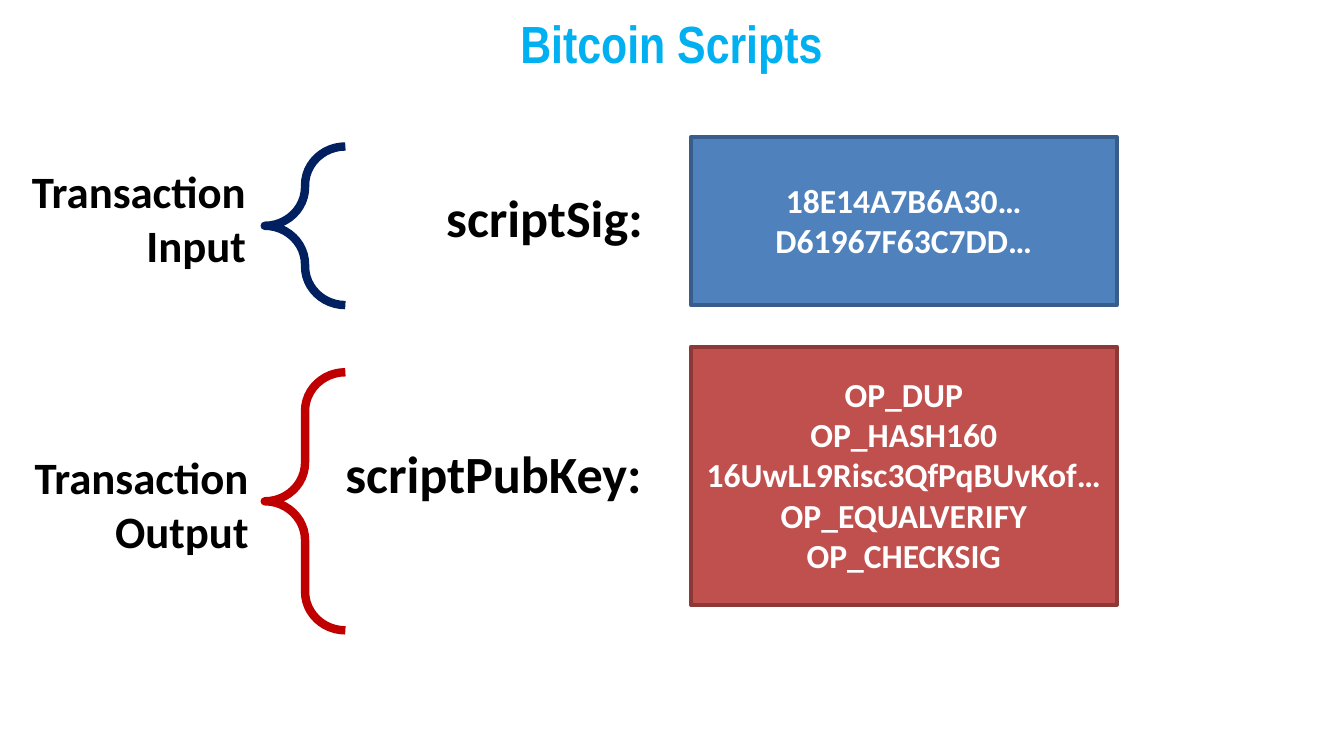
from pptx import Presentation
from pptx.dml.color import RGBColor
from pptx.enum.shapes import MSO_SHAPE
from pptx.enum.text import MSO_ANCHOR, PP_ALIGN
from pptx.util import Inches, Pt

BLACK = RGBColor(0x00, 0x00, 0x00)
WHITE = RGBColor(0xFF, 0xFF, 0xFF)
SKY = RGBColor(0x00, 0xB0, 0xF0)
NAVY = RGBColor(0x00, 0x20, 0x60)
DARK_RED = RGBColor(0xC0, 0x00, 0x00)
BLUE = RGBColor(0x4F, 0x81, 0xBD)
BLUE_EDGE = RGBColor(0x38, 0x5D, 0x8A)
RED = RGBColor(0xC0, 0x50, 0x4D)
RED_EDGE = RGBColor(0x8C, 0x38, 0x36)


def write(sp, text, size, color, align, anchor=MSO_ANCHOR.TOP, font="Calibri", wrap=True):
    """Fill a shape with bold text, one paragraph per line."""
    tf = sp.text_frame
    tf.text = text
    tf.word_wrap = wrap
    tf.vertical_anchor = anchor
    tf.margin_left = tf.margin_right = 0
    tf.margin_top = Inches(0.02) if anchor == MSO_ANCHOR.TOP else 0
    tf.margin_bottom = Inches(0.02)
    for p in tf.paragraphs:
        p.alignment = align
        for r in p.runs:
            r.font.name = font
            r.font.size = Pt(size)
            r.font.bold = True
            r.font.color.rgb = color


def add_plain_shape(kind, left, top, width, height, line, line_width):
    sp = s.shapes.add_shape(kind, Inches(left), Inches(top), Inches(width), Inches(height))
    sp.shadow.inherit = False
    sp.line.color.rgb = line
    sp.line.width = Pt(line_width)
    return sp


prs = Presentation()
prs.slide_width = Inches(10)
prs.slide_height = Inches(10) * 9 // 16
s = prs.slides.add_slide(prs.slide_layouts[5])

title = s.shapes.title
title.left, title.top = Inches(3.86), Inches(0.06)
title.width, title.height = Inches(2.27), Inches(0.49)
write(title, "Bitcoin Scripts", 28, SKY, PP_ALIGN.CENTER, font="Arial Narrow", wrap=False)

# Script contents: top, height, fill, edge, text
boxes = [
    (2.58, 1.92, RED, RED_EDGE,
     "OP_DUP\nOP_HASH160\n16UwLL9Risc3QfPqBUvKof…\nOP_EQUALVERIFY\nOP_CHECKSIG"),
    (1.02, 1.25, BLUE, BLUE_EDGE, "18E14A7B6A30…\nD61967F63C7DD…"),
]
for top, height, fill, edge, text in boxes:
    sp = add_plain_shape(MSO_SHAPE.RECTANGLE, 5.14, top, 3.17, height, edge, 2)
    sp.fill.solid()
    sp.fill.fore_color.rgb = fill
    write(sp, text, 18, WHITE, PP_ALIGN.CENTER, MSO_ANCHOR.MIDDLE)

# Labels: left, top, width, height, size, alignment, text
labels = [
    (2.57, 3.26, 2.23, 0.49, 28, PP_ALIGN.LEFT, "scriptPubKey:"),
    (3.32, 1.36, 1.49, 0.49, 28, PP_ALIGN.LEFT, "scriptSig:"),
    (0.2, 1.2, 1.63, 0.83, 24, PP_ALIGN.RIGHT, "Transaction\nInput"),
    (0.22, 3.33, 1.63, 0.83, 24, PP_ALIGN.RIGHT, "Transaction\nOutput"),
]
for left, top, width, height, size, align, text in labels:
    sp = s.shapes.add_textbox(Inches(left), Inches(top), Inches(width), Inches(height))
    write(sp, text, size, BLACK, align)

for top, height, color in [(2.77, 1.92, DARK_RED), (1.09, 1.18, NAVY)]:
    brace = add_plain_shape(MSO_SHAPE.LEFT_BRACE, 1.97, top, 0.6, height, color, 4.5)
    brace.fill.background()
    brace.adjustments[0] = 0.48

prs.save("out.pptx")
